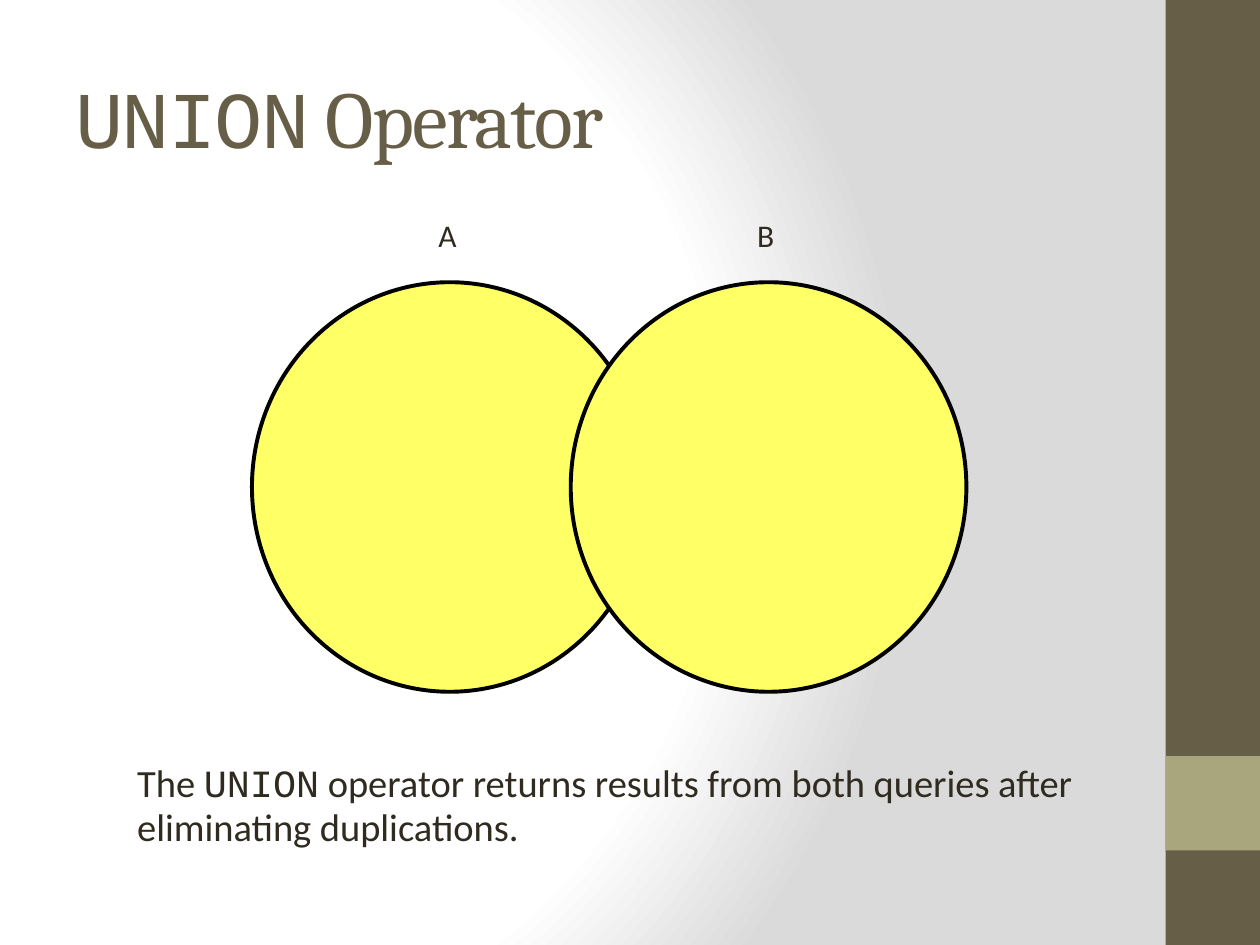
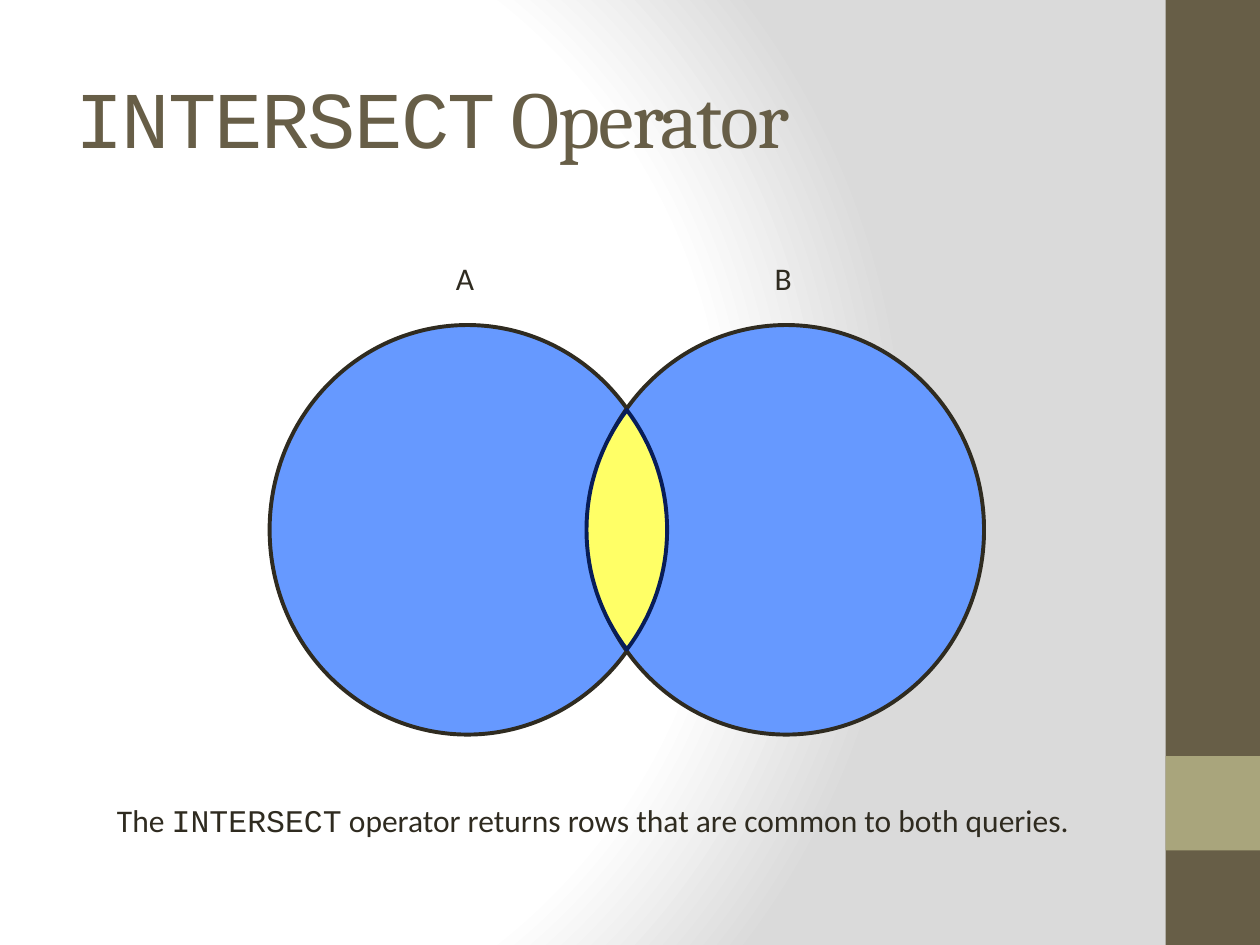
"""Build two slides that explain set operators with Venn diagrams."""
import math
from dataclasses import dataclass
from typing import NamedTuple, Optional

from lxml import etree
from pptx import Presentation
from pptx import util as u
from pptx.dml.color import RGBColor
from pptx.enum import shapes, text
from pptx.oxml.ns import qn

WIDTH, HEIGHT = u.Inches(10), u.Inches(7.5)
COLUMNS, ROWS = 40, 30


@dataclass(frozen=True)
class Theme:
    """Colours, fonts and type sizes shared by the slides."""

    band: str = "675E47"
    accent: str = "A9A57C"
    ink: str = "2F2B20"
    black: str = "000000"
    navy: str = "081D58"
    selected: str = "FFFF66"
    unselected: str = "6699FF"
    gradient: tuple = ((0, "FFFFFF"), (75, "FFFFFF"), (100, "DADADA"))
    heading_font: str = "Cambria"
    body_font: str = "Calibri"
    code_font: str = "Courier New"
    title_size: float = 46
    label_size: float = 18
    line_width: float = 2.25


class Box(NamedTuple):
    """A place on the grid, in columns and rows."""

    column: float
    row: float
    columns: float
    rows: float

    def lengths(self) -> tuple:
        """Return left, top, width and height in slide units."""
        return across(self.column), down(self.row), across(self.columns), down(self.rows)


class Run(NamedTuple):
    """A stretch of text in one font."""

    words: str
    font: str


@dataclass(frozen=True)
class OperatorSlide:
    """What one operator slide says and shows."""

    operator: str
    explanation: str
    caption_box: Box
    caption_size: float
    column: float
    row: float
    fill: str
    line: str
    lens_fill: Optional[str] = None


THEME = Theme()
TITLE_BOX = Box(2, 1.2, 33.32, 5)
BANDS = ((Box(37, 0, 3, ROWS), THEME.band), (Box(37, 24, 3, 3), THEME.accent))
CIRCLE_COLUMNS, CIRCLE_ROWS = 12.56, 13
CIRCLE_STEP = 10.12
LABEL_COLUMNS, LABEL_ROWS, LABEL_RISE = 1.52, 1.6, 2.3
LENS_HALF_COLUMNS, LENS_HALF_ROWS = 1.28, 3.8
ARC_STEPS = 32

SLIDES = (
    OperatorSlide(
        "UNION",
        " operator returns results from both queries after eliminating duplications.",
        Box(3.96, 24, 31.8, 3.2), 22, 8, 8.96, THEME.selected, THEME.black,
    ),
    OperatorSlide(
        "INTERSECT",
        " operator returns rows that are common to both queries.",
        Box(3.32, 25.32, 31.68, 1.56), 18, 8.56, 10.32, THEME.unselected, THEME.ink,
        THEME.selected,
    ),
)


def across(columns: float) -> int:
    """Turn columns into a length."""
    return round(WIDTH * columns / COLUMNS)


def down(rows: float) -> int:
    """Turn rows into a length."""
    return round(HEIGHT * rows / ROWS)


def set_background(master) -> None:
    """Give the master a radial gradient that every slide inherits."""
    master.background.fill.gradient()
    gradient = master.element.find(".//" + qn("a:gradFill"))
    for child in list(gradient):
        gradient.remove(child)
    stops = etree.SubElement(gradient, qn("a:gsLst"))
    for position, colour in THEME.gradient:
        stop = etree.SubElement(stops, qn("a:gs"), pos=str(position * 1000))
        etree.SubElement(stop, qn("a:srgbClr"), val=colour)
    circle = etree.SubElement(gradient, qn("a:path"), path="circle")
    etree.SubElement(circle, qn("a:fillToRect"), l="20000", t="50000", r="100000", b="50000")


def paint(shape, fill: str, line: Optional[str] = None) -> None:
    """Set the fill and outline of a shape and drop its shadow."""
    shape.shadow.inherit = False
    shape.fill.solid()
    shape.fill.fore_color.rgb = RGBColor.from_string(fill)
    if line is None:
        shape.line.fill.background()
    else:
        shape.line.color.rgb = RGBColor.from_string(line)
        shape.line.width = u.Pt(THEME.line_width)


def add_text(slide, box: Box, runs: tuple, size: float, colour: str, wrap: bool = True):
    """Add a one-paragraph text box and return its frame."""
    frame = slide.shapes.add_textbox(*box.lengths()).text_frame
    frame.word_wrap = wrap
    paragraph = frame.paragraphs[0]
    for words, font in runs:
        run = paragraph.add_run()
        run.text = words
        run.font.name = font
        run.font.size = u.Pt(size)
        run.font.color.rgb = RGBColor.from_string(colour)
    return frame


def add_title(slide, operator: str) -> None:
    """Add the tightly spaced title."""
    runs = (Run(operator, THEME.code_font), Run(" Operator", THEME.heading_font))
    frame = add_text(slide, TITLE_BOX, runs, THEME.title_size, THEME.band)
    frame.vertical_anchor = text.MSO_ANCHOR.MIDDLE
    for run in frame.paragraphs[0].runs:
        run.font._element.set("spc", "-100")


def add_circle(slide, content: OperatorSlide, index: int, name: str) -> None:
    """Add one set of the diagram with its name above it."""
    column = content.column + index * CIRCLE_STEP
    box = Box(column, content.row, CIRCLE_COLUMNS, CIRCLE_ROWS)
    circle = slide.shapes.add_shape(shapes.MSO_SHAPE.OVAL, *box.lengths())
    paint(circle, content.fill, content.line)
    label_column = column + (CIRCLE_COLUMNS - LABEL_COLUMNS) / 2
    label_box = Box(label_column, content.row - LABEL_RISE, LABEL_COLUMNS, LABEL_ROWS)
    runs = (Run(name, THEME.body_font),)
    frame = add_text(slide, label_box, runs, THEME.label_size, THEME.ink, wrap=False)
    frame.auto_size = text.MSO_AUTO_SIZE.SHAPE_TO_FIT_TEXT


def add_lens(slide, content: OperatorSlide) -> None:
    """Add the overlap of the two circles as a pair of arcs."""
    center_column = content.column + (CIRCLE_STEP + CIRCLE_COLUMNS) / 2
    center_row = content.row + CIRCLE_ROWS / 2
    radius = CIRCLE_COLUMNS / 2
    limit = math.acos(1 - LENS_HALF_COLUMNS / radius)
    points = []
    for side in (1, -1):
        for step in range(ARC_STEPS):
            angle = side * limit * (2 * step / ARC_STEPS - 1)
            bulge = radius * math.cos(angle) - radius + LENS_HALF_COLUMNS
            rise = LENS_HALF_ROWS * math.sin(angle) / math.sin(limit)
            points.append((across(center_column + side * bulge), down(center_row + rise)))
    builder = slide.shapes.build_freeform(*points[0])
    builder.add_line_segments(points[1:], close=True)
    paint(builder.convert_to_shape(), content.lens_fill, THEME.navy)


def add_caption(slide, content: OperatorSlide) -> None:
    """Add the sentence that explains the operator."""
    runs = (
        Run("The ", THEME.body_font),
        Run(content.operator, THEME.code_font),
        Run(content.explanation, THEME.body_font),
    )
    frame = add_text(slide, content.caption_box, runs, content.caption_size, THEME.ink)
    frame.paragraphs[0].line_spacing = 0.95


def add_operator_slide(presentation, content: OperatorSlide) -> None:
    """Add one complete operator slide."""
    slide = presentation.slides.add_slide(presentation.slide_layouts[6])
    for box, colour in BANDS:
        paint(slide.shapes.add_shape(shapes.MSO_SHAPE.RECTANGLE, *box.lengths()), colour)
    add_title(slide, content.operator)
    for index, name in enumerate("AB"):
        add_circle(slide, content, index, name)
    if content.lens_fill:
        add_lens(slide, content)
    add_caption(slide, content)


def main() -> None:
    """Build and save the presentation."""
    presentation = Presentation()
    presentation.slide_width, presentation.slide_height = WIDTH, HEIGHT
    set_background(presentation.slide_master)
    for content in SLIDES:
        add_operator_slide(presentation, content)
    presentation.save("out.pptx")


main()
